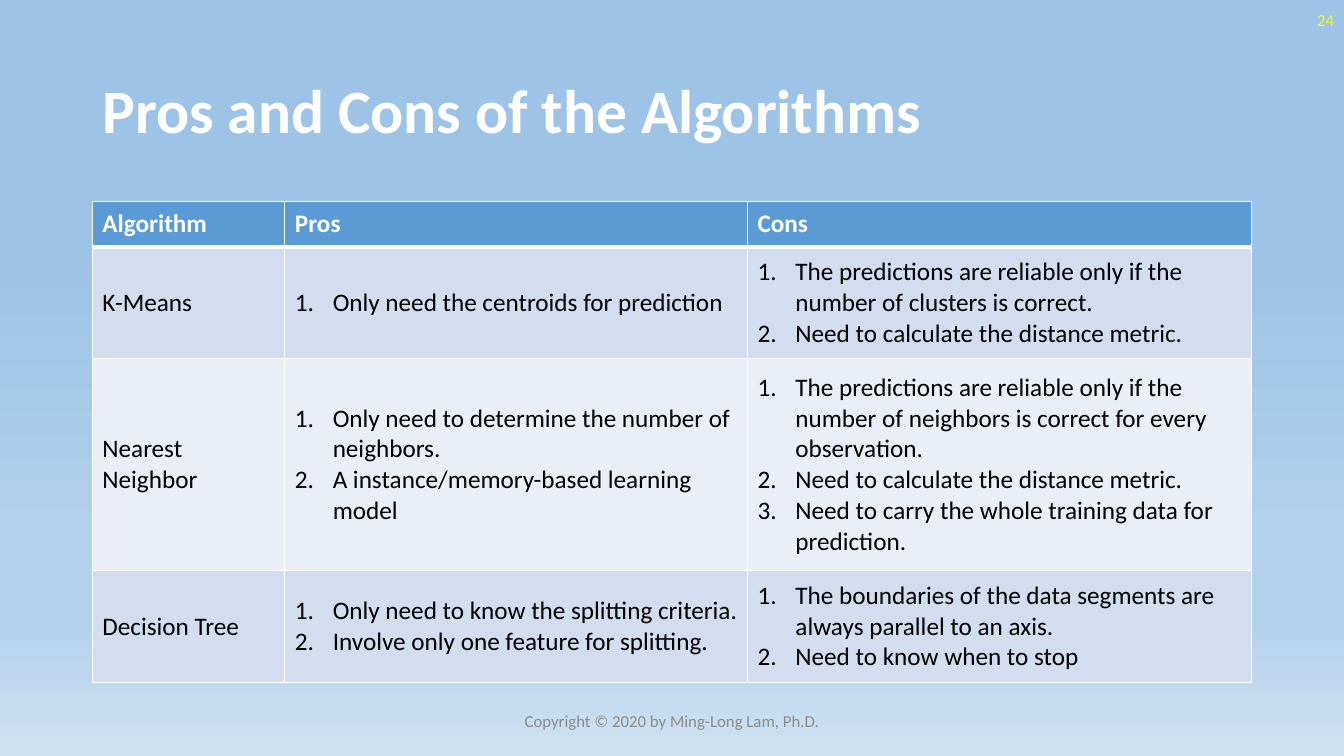
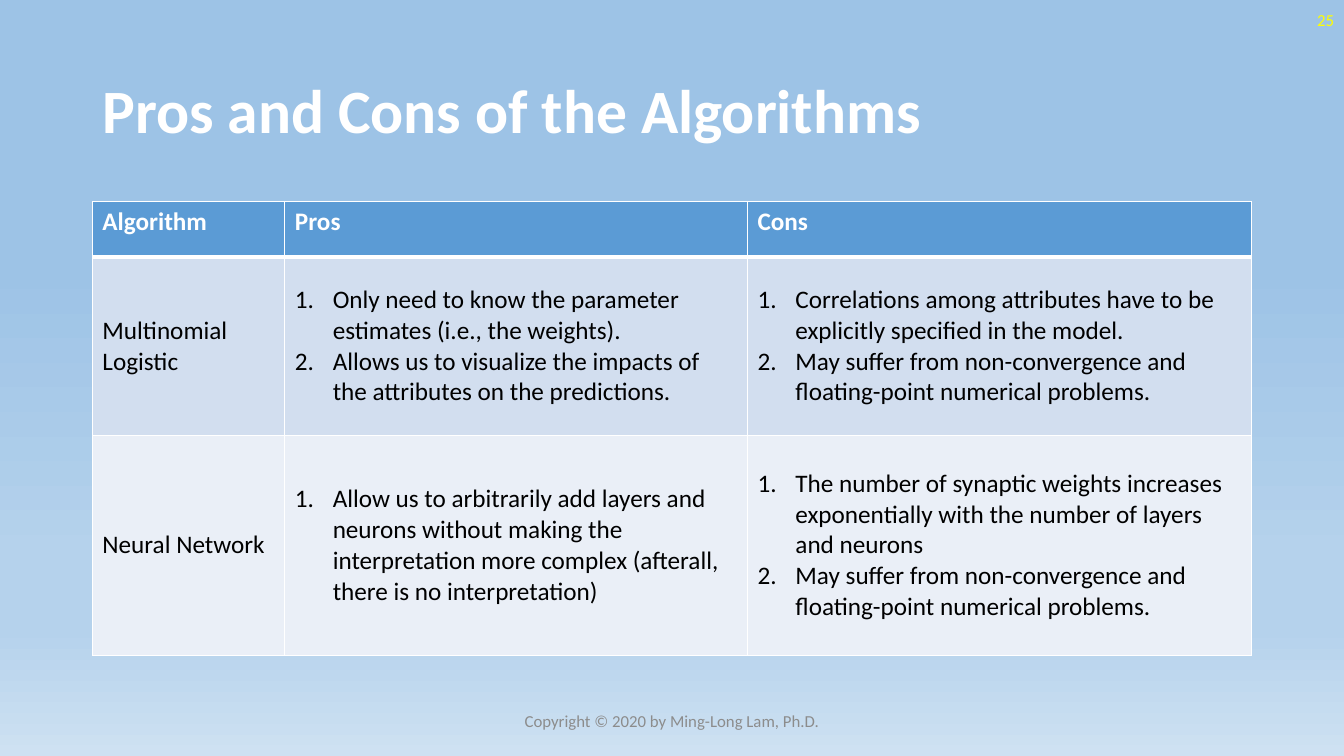
from lxml.etree import SubElement
from pptx import Presentation
from pptx.dml.color import RGBColor
from pptx.enum.text import MSO_ANCHOR as Anchor, PP_ALIGN as Align
from pptx.oxml import parse_xml
from pptx.oxml.ns import nsdecls, qn
from pptx.util import Pt

HUES = {
    "white": "FFFFFF", "black": "000000", "head": "5B9BD5",
    "odd": "D2DEEF", "even": "EAEFF7", "number": "FFFF00", "note": "8C8C8C",
}
SKY = [(35, "9DC3E6"), (74, "B5D2EC"), (83, "B5D2EC"), (100, "CEE1F2")]
FONT = "Calibri"
WIDE, HIGH = 960, 540
LEFT, SPAN = 66, 828
COLS = (137.5, 330.5, 360)
INDENT = 27
TITLE = "Pros and Cons of the Algorithms"
NOTE = "Copyright © 2020 by Ming-Long Lam, Ph.D."
HEADS = ("Algorithm", "Pros", "Cons")
FIRST = 24

PAGES = [
    {
        "heights": (32.4, 79.9, 151.2, 79.9),
        "anchor": Anchor.MIDDLE,
        "rows": [
            ("K-Means",
             ["Only need the centroids for prediction"],
             ["The predictions are reliable only if the number of clusters is correct.",
              "Need to calculate the distance metric."]),
            ("Nearest Neighbor",
             ["Only need to determine the number of neighbors.",
              "A instance/memory-based learning model"],
             ["The predictions are reliable only if the number of neighbors "
              "is correct for every observation.",
              "Need to calculate the distance metric.",
              "Need to carry the whole training data for prediction."]),
            ("Decision Tree",
             ["Only need to know the splitting criteria.",
              "Involve only one feature for splitting."],
             ["The boundaries of the data segments are always parallel to an axis.",
              "Need to know when to stop"]),
        ],
    },
    {
        "heights": (39.6, 127.4, 157),
        "anchor": Anchor.TOP,
        "rows": [
            ("Multinomial Logistic",
             ["Only need to know the parameter estimates (i.e., the weights).",
              "Allows us to visualize the impacts of the attributes on the predictions."],
             ["Correlations among attributes have to be explicitly specified in the model.",
              "May suffer from non-convergence and floating-point numerical problems."]),
            ("Neural Network",
             ["Allow us to arbitrarily add layers and neurons without making the "
              "interpretation more complex (afterall, there is no interpretation)"],
             ["The number of synaptic weights increases exponentially with the "
              "number of layers and neurons",
              "May suffer from non-convergence and floating-point numerical problems."]),
        ],
    },
]


def tint(name):
    return RGBColor.from_string(HUES[name])


def write(frame, text, size=18, color="black", bold=False, align=Align.LEFT,
          lead=None):
    """Fill a text frame; a list of texts becomes a numbered list."""
    listed = isinstance(text, list)
    for i, line in enumerate(text if listed else [text]):
        para = frame.add_paragraph() if i else frame.paragraphs[0]
        para.alignment = align
        if lead:
            para.line_spacing = lead
        if listed:
            props = para._p.get_or_add_pPr()
            props.set("marL", str(Pt(INDENT)))
            props.set("indent", str(-Pt(INDENT)))
            SubElement(props, qn("a:buAutoNum"), type="arabicPeriod")
        run = para.add_run()
        run.text = line
        font = run.font
        font.name, font.size, font.bold = FONT, Pt(size), bold
        font.color.rgb = tint(color)


def place(shape, box):
    shape.left, shape.top, shape.width, shape.height = map(Pt, box)


def paint(master):
    """Give the master its vertical gradient."""
    fill = master.background.fill
    fill.gradient()
    fill.gradient_angle = 270
    stops = master.element.find(".//" + qn("a:gsLst"))
    for stop in list(stops):
        stops.remove(stop)
    for part, color in SKY:
        stop = SubElement(stops, qn("a:gs"), pos=str(part * 1000))
        SubElement(stop, qn("a:srgbClr"), val=color)


def edge(cell, **widths):
    """Draw white borders; widths are in points, keyed by side."""
    props = cell._tc.get_or_add_tcPr()
    for i, side in enumerate("LRTB"):
        props.insert(i, parse_xml(
            f'<a:ln{side} {nsdecls("a")} w="{Pt(widths.get(side, 1))}">'
            f'<a:solidFill><a:srgbClr val="{HUES["white"]}"/></a:solidFill>'
            f'</a:ln{side}>'))


def label(slide, box, text, **style):
    shape = slide.shapes.add_textbox(*map(Pt, box))
    frame = shape.text_frame
    frame.word_wrap = True
    frame.vertical_anchor = Anchor.MIDDLE
    write(frame, text, size=12, **style)


def grid(slide, left, top, page):
    heights = page["heights"]
    table = slide.shapes.add_table(
        len(heights), len(COLS), Pt(left), Pt(top),
        Pt(SPAN), Pt(sum(heights))).table
    for col, width in zip(table.columns, COLS):
        col.width = Pt(width)
    for r, texts in enumerate([HEADS] + page["rows"]):
        table.rows[r].height = Pt(heights[r])
        head = r == 0
        for c, text in enumerate(texts):
            cell = table.cell(r, c)
            cell.vertical_anchor = page["anchor"] if head else Anchor.MIDDLE
            cell.fill.solid()
            cell.fill.fore_color.rgb = tint(
                "head" if head else "odd" if r % 2 else "even")
            edge(cell, T=3 if r == 1 else 1, B=3 if head else 1)
            write(cell.text_frame, text, bold=head,
                  color="white" if head else "black")


def build(deck, number, page):
    slide = deck.slides.add_slide(deck.slide_layouts[5])
    title = slide.shapes.title
    place(title, (LEFT, 28.8, SPAN, 104.4))
    title.text_frame.vertical_anchor = Anchor.MIDDLE
    write(title.text_frame, TITLE, size=44, color="white", bold=True, lead=0.9)
    grid(slide, LEFT, 144, page)
    label(slide, (WIDE - 216, 0, 216, 28.8), str(number),
          color="number", align=Align.RIGHT)
    label(slide, ((WIDE - 324) / 2, 500.4, 324, 28.8), NOTE,
          color="note", align=Align.CENTER)


def main():
    deck = Presentation()
    deck.slide_width, deck.slide_height = Pt(WIDE), Pt(HIGH)
    paint(deck.slide_master)
    for number, page in enumerate(PAGES, FIRST):
        build(deck, number, page)
    deck.save("out.pptx")


if __name__ == "__main__":
    main()
